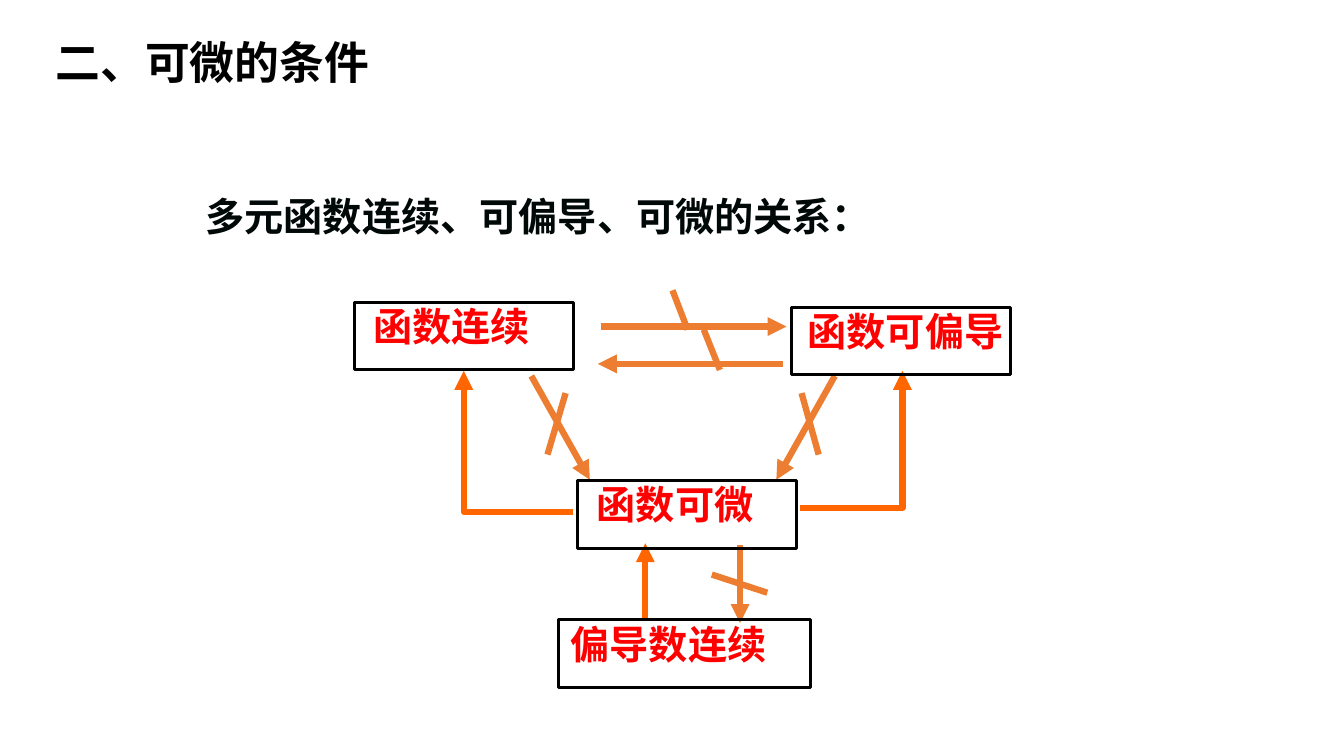
from lxml import etree
from pptx import Presentation
from pptx.dml.color import RGBColor
from pptx.enum.shapes import MSO_CONNECTOR, MSO_SHAPE
from pptx.enum.text import MSO_ANCHOR, PP_ALIGN
from pptx.oxml.ns import qn
from pptx.util import Pt

EMU_PER_PX = 9144
FONT = "Noto Sans CJK SC"
BLACK, RED, ORANGE, BRIGHT_ORANGE = "000000", "FF0000", "ED7D31", "FF6600"


def px(*lengths):
    return [length * EMU_PER_PX for length in lengths]


def color(hex_string):
    return RGBColor.from_string(hex_string)


def write(shape, text, size, ink, anchor, margins=(10, 5, 10, 5)):
    frame = shape.text_frame
    frame.word_wrap = True
    frame.vertical_anchor = anchor
    (frame.margin_left, frame.margin_top,
     frame.margin_right, frame.margin_bottom) = px(*margins)
    para = frame.paragraphs[0]
    para.alignment = PP_ALIGN.LEFT
    span = para.add_run()
    span.text = text
    span.font.size = Pt(size)
    span.font.bold = True
    span.font.name = FONT
    span.font.color.rgb = color(ink)
    properties = span._r.get_or_add_rPr()
    etree.SubElement(properties, qn("a:ea")).set("typeface", FONT)


def add_title(page, box, text):
    title = page.shapes.title
    title.left, title.top, title.width, title.height = px(*box)
    write(title, text, 32, BLACK, MSO_ANCHOR.MIDDLE)


def add_heading(page, box, text):
    heading = page.shapes.add_textbox(*px(*box))
    write(heading, text, 28, "000808", MSO_ANCHOR.MIDDLE)


def add_line(page, start, end, ink=ORANGE, arrow=False, elbow=False):
    kind = MSO_CONNECTOR.ELBOW if elbow else MSO_CONNECTOR.STRAIGHT
    line = page.shapes.add_connector(kind, *px(*start, *end))
    line.line.color.rgb = color(ink)
    line.line.width = Pt(4.5)
    properties = line._element.spPr
    if elbow:
        properties.find(qn("a:prstGeom")).set("prst", "bentConnector2")
    if arrow:
        tail = etree.SubElement(line.line._get_or_add_ln(), qn("a:tailEnd"))
        tail.set("type", "triangle")
    etree.SubElement(properties, qn("a:effectLst"))


def add_concept(page, box, text, indent):
    concept = page.shapes.add_shape(MSO_SHAPE.RECTANGLE, *px(*box))
    concept.shadow.inherit = False
    concept.fill.background()
    concept.line.color.rgb = color(BLACK)
    concept.line.width = Pt(2.25)
    write(concept, text, 28, RED, MSO_ANCHOR.TOP, (indent, 0, 0, 0))


def add_relations(page, box):
    left, top = box[:2]

    def at(point):
        return left + point[0], top + point[1]

    not_implied = [
        ((244, 24), (428, 24), (315, -12), (330, 27)),
        ((425, 61), (241, 61), (346, 27), (362, 67)),
        ((175, 73), (233, 176), (209, 90), (191, 151)),
        ((476, 73), (418, 176), (443, 90), (460, 151)),
        ((382, 241), (382, 318), (354, 270), (409, 288)),
    ]
    for start, end, slash_start, slash_end in not_implied:
        add_line(page, at(start), at(end), arrow=True)
        add_line(page, at(slash_start), at(slash_end))

    implied = [
        ((441, 204), (543, 68), True),
        ((216, 208), (108, 68), True),
        ((288, 314), (288, 239), False),
    ]
    for start, end, elbow in implied:
        add_line(page, at(start), at(end), BRIGHT_ORANGE, True, elbow)

    concepts = [
        ("函数连续", (0, 0), 217, 18),
        ("函数可偏导", (433, 5), 217, 16),
        ("函数可微", (221, 177), 217, 19),
        ("偏导数连续", (202, 315), 250, 12),
    ]
    for text, corner, width, indent in concepts:
        add_concept(page, (*at(corner), width, 67), text, indent)


def main():
    deck = Presentation()
    deck.slide_width, deck.slide_height = px(1333, 750)
    page = deck.slides.add_slide(deck.slide_layouts.get_by_name("Title Only"))
    add_title(page, (45, 29, 853, 64), "二、可微的条件")
    add_heading(page, (194, 186, 817, 57), "多元函数连续、可偏导、可微的关系：")
    add_relations(page, (352, 300, 650, 382))
    deck.save("out.pptx")


if __name__ == "__main__":
    main()
